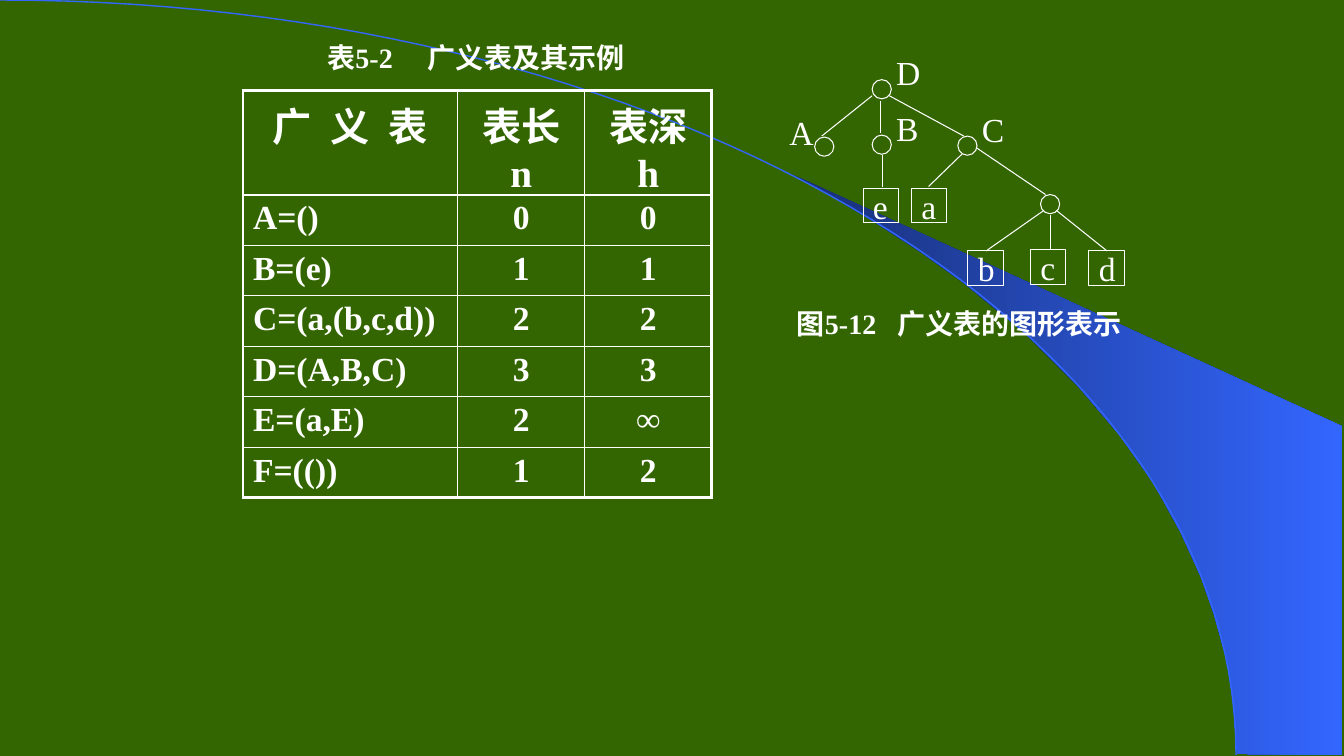
from lxml.etree import SubElement
from pptx import Presentation
from pptx.dml.color import RGBColor
from pptx.enum.shapes import MSO_CONNECTOR as Connector, MSO_SHAPE as Shape
from pptx.enum.text import MSO_ANCHOR as Anchor, PP_ALIGN as Align
from pptx.oxml.ns import qn
from pptx.util import Cm, Pt

WHITE, BLUE, NAVY, GREEN = "FFFFFF", "3366FF", "182F76", "336600"
SERIF, SANS, CHINESE = "Times New Roman", "Arial", "Noto Sans CJK SC"
THIN, THICK = 1, 2.25

TABLE_ROWS = [
    ("A=()", "0", "0"),
    ("B=(e)", "1", "1"),
    ("C=(a,(b,c,d))", "2", "2"),
    ("D=(A,B,C)", "3", "3"),
    ("E=(a,E)", "2", "∞"),
    ("F=(())", "1", "2"),
]
# Each header is a list of (text, extra letter spacing in points)
TABLE_HEADERS = [
    [("广", 0), (" ", 7), ("义", 0), (" ", 7), ("表", 0)],
    [("表长\vn", 0)],
    [("表深\vh", 0)],
]
WEDGE = [(12.27, 7.48), (13.31, 7.49), (13.31, 4.23), (7.86, 1.73), (8.32, 1.99),
         (8.7, 2.22), (9.13, 2.5), (9.55, 2.8), (10.16, 3.3), (10.7, 3.84),
         (11.1, 4.31), (11.44, 4.79), (11.71, 5.28), (11.91, 5.72), (12.04, 6.09),
         (12.17, 6.56), (12.23, 6.96)]
ARC = [(0, 0), (6.77, 0), (12.26, 3.35), (12.26, 7.49)]
LEAVES = {"a": (9.04, 1.87), "b": (9.6, 2.49), "e": (8.56, 1.87),
          "c": (10.22, 2.48), "d": (10.8, 2.49)}
LABELS = {"A": (7.73, 1.14), "B": (8.79, 1.1), "C": (9.64, 1.11), "D": (8.79, 0.55)}
NODES = [(8.08, 1.36), (8.65, 1.34), (9.5, 1.35), (10.32, 1.93), (8.65, 0.79)]
BRANCHES = [(8.73, 1, 8.73, 1.32), (8.65, 0.95, 8.15, 1.35), (8.82, 0.95, 9.56, 1.35),
            (8.75, 1.54, 8.75, 1.86), (9.54, 1.53, 9.21, 1.85), (9.69, 1.47, 10.37, 1.93),
            (10.35, 2.09, 9.78, 2.49), (10.42, 2.13, 10.42, 2.47), (10.48, 2.09, 10.98, 2.49)]


def color(value):
    return RGBColor.from_string(value)


def lengths(*inches):
    return [Cm(value * 2.54) for value in inches]


def apply(target, formats):
    for name, value in formats.items():
        setattr(target, name, value)


def add_run(paragraph, text, font, size, bold=False, spacing=0):
    """Add text; a vertical tab in it becomes a line break."""
    for index, part in enumerate(text.split("\v")):
        if index:
            paragraph.add_line_break()
        run = paragraph.add_run()
        run.text = part
        apply(run.font, {"name": font, "size": Pt(size), "bold": bold})
        run.font.color.rgb = color(WHITE)
        properties = run.font._element
        SubElement(properties, qn("a:ea")).set("typeface", CHINESE)
        if spacing:
            properties.set("spc", str(spacing * 100))


def outline(shape, value=WHITE, width=0.75):
    shape.line.color.rgb = color(value)
    shape.line.width = Pt(width)


def add_outline_shape(slide, kind, left, top, width, height):
    shape = slide.shapes.add_shape(kind, *lengths(left, top, width, height))
    shape.shadow.inherit = False
    shape.fill.background()
    outline(shape)
    return shape


def write_letter(shape, letter):
    apply(shape.text_frame, {"word_wrap": False, "vertical_anchor": Anchor.MIDDLE})
    paragraph = shape.text_frame.paragraphs[0]
    paragraph.alignment = Align.LEFT
    add_run(paragraph, letter, SERIF, 24)


def add_branch(slide, *ends):
    branch = slide.shapes.add_connector(Connector.STRAIGHT, *lengths(*ends))
    outline(branch)
    SubElement(branch._element.spPr, qn("a:effectLst"))


def add_freeform(slide, points, close):
    start, *rest = [lengths(*point) for point in points]
    builder = slide.shapes.build_freeform(*start)
    builder.add_line_segments(rest, close=close)
    shape = builder.convert_to_shape()
    shape.shadow.inherit = False
    return shape


def add_caption(slide, box, runs):
    caption = slide.shapes.add_textbox(*lengths(*box))
    apply(caption.text_frame, {"word_wrap": True, "vertical_anchor": Anchor.MIDDLE})
    paragraph = caption.text_frame.paragraphs[0]
    paragraph.alignment = Align.CENTER
    for text, font, spacing in runs:
        add_run(paragraph, text, font, 20, True, spacing)


def curve_points(controls, steps=60):
    points = []
    for step in range(steps + 1):
        t = step / steps
        weights = ((1 - t) ** 3, 3 * t * (1 - t) ** 2, 3 * t * t * (1 - t), t ** 3)
        points.append([sum(w * point[axis] for w, point in zip(weights, controls))
                       for axis in (0, 1)])
    return points


def add_backdrop(slide):
    slide.background.fill.solid()
    slide.background.fill.fore_color.rgb = color(GREEN)
    wedge = add_freeform(slide, WEDGE, True)
    wedge.line.fill.background()
    wedge.fill.gradient()
    wedge.fill.gradient_angle = 0
    for stop, value, position in zip(wedge.fill.gradient_stops, (NAVY, BLUE), (0, 1)):
        stop.color.rgb = color(value)
        stop.position = position
    arc = add_freeform(slide, curve_points(ARC), False)
    arc.fill.background()
    outline(arc, BLUE, 1)


def set_borders(cell, widths):
    properties = cell._tc.get_or_add_tcPr()
    for index, (side, width) in enumerate(widths.items()):
        line = properties.makeelement(qn("a:ln" + side), {"w": str(Pt(width))})
        fill = SubElement(line, qn("a:solidFill"))
        SubElement(fill, qn("a:srgbClr")).set("val", WHITE)
        properties.insert(index, line)


def add_list_table(slide):
    rows = [TABLE_HEADERS] + [[[(text, 0)] for text in row] for row in TABLE_ROWS]
    last_row, last_column = len(rows) - 1, len(TABLE_HEADERS) - 1
    table = slide.shapes.add_table(len(rows), len(TABLE_HEADERS),
                                   *lengths(2.41, 0.9, 4.65, 3.57)).table
    apply(table, {"first_row": False, "horz_banding": False})
    for column, width in zip(table.columns, lengths(2.13, 1.26, 1.26)):
        column.width = width
    for row, height in zip(table.rows, lengths(0.57, *[0.5] * last_row)):
        row.height = height
    for r, row in enumerate(rows):
        for c, runs in enumerate(row):
            cell = table.cell(r, c)
            cell.fill.background()
            outer = {"L": c == 0, "R": c == last_column, "T": r == 0, "B": r == last_row}
            set_borders(cell, {side: THICK if edge else THIN for side, edge in outer.items()})
            paragraph = cell.text_frame.paragraphs[0]
            paragraph.alignment = Align.LEFT if r and c == 0 else Align.CENTER
            for text, spacing in runs:
                add_run(paragraph, text, SERIF, 24 if r else 28, True, spacing)


def add_tree(slide):
    for letter, place in LEAVES.items():
        write_letter(add_outline_shape(slide, Shape.RECTANGLE, *place, 0.35, 0.34), letter)
    for letter, place in LABELS.items():
        write_letter(slide.shapes.add_textbox(*lengths(*place, 0.35, 0.34)), letter)
    for place in NODES:
        add_outline_shape(slide, Shape.OVAL, *place, 0.19, 0.19)
    for ends in BRANCHES:
        add_branch(slide, *ends)


def main():
    presentation = Presentation()
    width, height = lengths(13.33, 7.5)
    apply(presentation, {"slide_width": width, "slide_height": height})
    slide = presentation.slides.add_slide(presentation.slide_layouts[6])
    add_backdrop(slide)
    # Table with its caption above
    add_caption(slide, (2.93, 0.36, 3.58, 0.42),
                [("表", SANS, 0), ("5-2", SERIF, 0), (" ", SERIF, 20),
                 ("广义", SANS, 0), ("表及其示例", CHINESE, 0)])
    add_list_table(slide)
    # Tree with its caption below
    add_tree(slide)
    add_caption(slide, (7.64, 3, 3.75, 0.42),
                [("图", SANS, 0), ("5-12", SERIF, 0), (" ", SERIF, 10),
                 ("广义", SANS, 0), ("表的图形表示", CHINESE, 0)])
    presentation.save("out.pptx")


if __name__ == "__main__":
    main()
